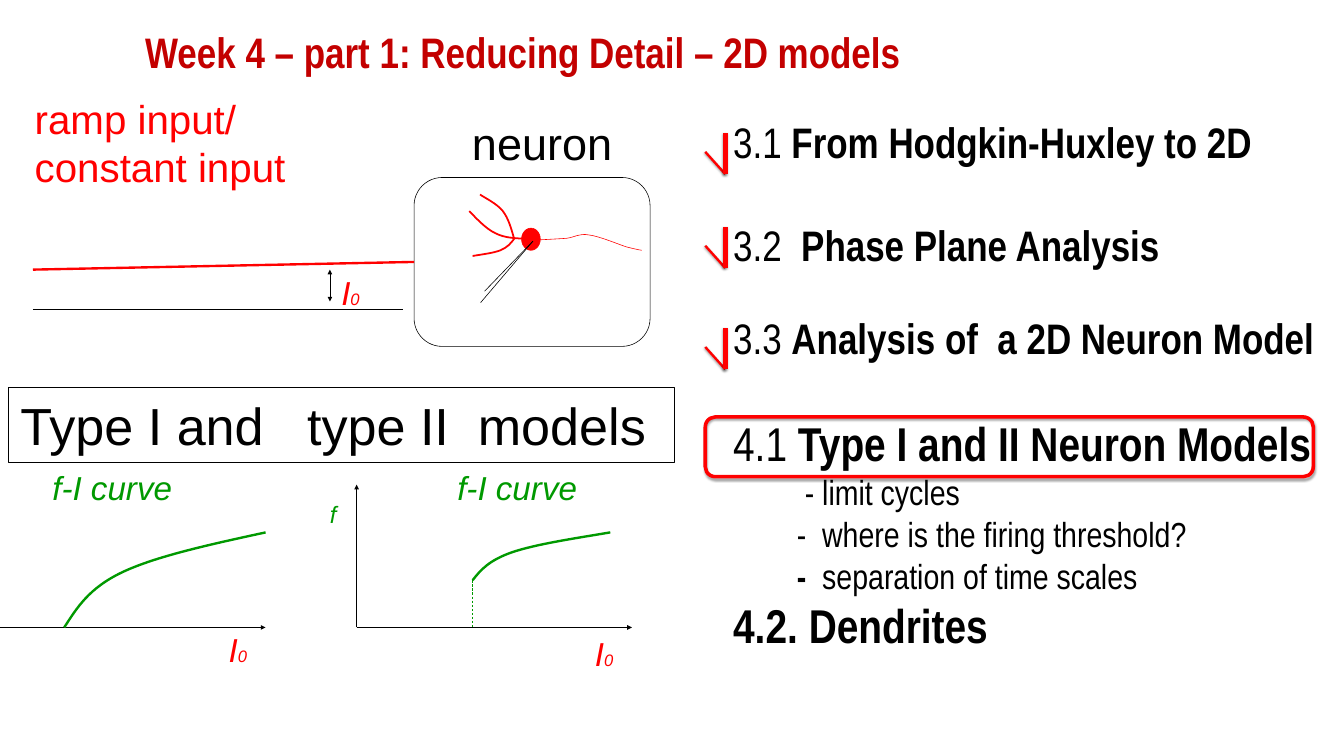
from lxml.etree import SubElement
from pptx import Presentation
from pptx.dml.color import RGBColor
from pptx.enum.dml import MSO_LINE
from pptx.enum.shapes import MSO_CONNECTOR as CONN, MSO_SHAPE as SHAPE
from pptx.enum.text import MSO_ANCHOR as ANCHOR, MSO_AUTO_SIZE as AUTO, PP_ALIGN as ALIGN
from pptx.oxml.ns import qn
from pptx.util import Emu, Pt

PX = 9144
BLACK = RGBColor(0, 0, 0)
WHITE = RGBColor(255, 255, 255)
RED = RGBColor(255, 0, 0)
DARK_RED = RGBColor(0xC3, 0, 0)
GREEN = RGBColor(0, 0x99, 0)
NARROW = "Arial Narrow"


def px(*values):
    return [Emu(v * PX) for v in values]


def write(p, text, size=42, color=BLACK, bold=False, italic=False, font="Arial"):
    r = p.add_run()
    r.text = text
    f = r.font
    f.name, f.size, f.bold, f.italic = font, Pt(size), bold, italic
    f.color.rgb = color


def set_insets(tf, x, y):
    tf.margin_left = tf.margin_right = Emu(x * PX)
    tf.margin_top = tf.margin_bottom = Emu(y * PX)


def add_label(shapes, box, *lines, fill=None, **fmt):
    sp = shapes.add_textbox(*px(*box))
    if fill is not None:
        sp.fill.solid()
        sp.fill.fore_color.rgb = fill
    tf = sp.text_frame
    tf.word_wrap = False
    set_insets(tf, 21, 11)
    for i, line in enumerate(lines):
        write(tf.add_paragraph() if i else tf.paragraphs[0], line, **fmt)
    return tf


def add_current(shapes, x, y):
    tf = add_label(shapes, (x, y, 75, 92), "I", color=RED, italic=True)
    write(tf.paragraphs[0], "0", size=21, color=RED, italic=True)


def set_shadow(sp, shadow):
    effects = SubElement(sp._element.spPr, qn("a:effectLst"))
    if shadow:
        alpha, blur, dist = shadow
        outer = SubElement(effects, qn("a:outerShdw"), blurRad=str(Pt(blur)),
                           dist=str(Pt(dist)), dir="5400000", rotWithShape="0")
        clr = SubElement(outer, qn("a:srgbClr"), val="000000")
        SubElement(clr, qn("a:alpha"), val=str(alpha * 1000))


def add_line(shapes, x1, y1, x2, y2, color=BLACK, width=0.75, dash=None, ends=(), shadow=None):
    c = shapes.add_connector(CONN.STRAIGHT, *px(x1, y1, x2, y2))
    c.line.color.rgb = color
    c.line.width = Pt(width)
    if dash:
        c.line.dash_style = dash
    for end in ends:
        SubElement(c.line._get_or_add_ln(), qn(f"a:{end}"), type="triangle")
    set_shadow(c, shadow)
    return c


def add_outline(shapes, kind, box, color=BLACK, width=0.75, fill=None, shadow=None):
    sp = shapes.add_shape(kind, *px(*box))
    if fill is None:
        sp.fill.background()
    else:
        sp.fill.solid()
        sp.fill.fore_color.rgb = fill
    sp.line.color.rgb = color
    sp.line.width = Pt(width)
    set_shadow(sp, shadow)
    return sp


def add_curve(shapes, x, y, points, color, width):
    start, *rest = [px(x + dx, y + dy) for dx, dy in points]
    builder = shapes.build_freeform(*start, scale=1.0)
    builder.add_line_segments(rest, close=False)
    sp = builder.convert_to_shape()
    outline = sp._element.find(".//" + qn("a:path"))
    steps = outline.findall(qn("a:lnTo"))
    for i in range(0, len(steps), 3):
        bezier = SubElement(outline, qn("a:cubicBezTo"))
        for step in steps[i:i + 3]:
            bezier.append(step[0])
            outline.remove(step)
    sp.fill.background()
    sp.line.color.rgb = color
    sp.line.width = Pt(width)
    sp.shadow.inherit = False


def fill_title(sp, box):
    sp.left, sp.top, sp.width, sp.height = px(*box)
    tf = sp.text_frame
    tf.auto_size, tf.vertical_anchor, tf.word_wrap = AUTO.NONE, ANCHOR.TOP, True
    set_insets(tf, 10, 5)
    tf.margin_left = Emu(44 * PX)
    p = tf.paragraphs[0]
    p.alignment = ALIGN.LEFT
    write(p, "Week 4 – part 1: Reducing Detail – 2D models", size=54,
          color=DARK_RED, bold=True, font=NARROW)


def fill_outline(sp, box):
    sp.left, sp.top, sp.width, sp.height = px(*box)
    tf = sp.text_frame
    tf.auto_size, tf.vertical_anchor, tf.word_wrap = AUTO.NONE, ANCHOR.MIDDLE, True
    set_insets(tf, 10, 5)
    rows = [
        (0, 118, -62, 54, "3.1 ", "From Hodgkin-Huxley to 2D"),
        (65, 118, -62, 54, "3.2 ", " Phase Plane Analysis"),
        (53, 118, -62, 54, "3.3 ", "Analysis of  a 2D Neuron Model"),
        (65, 118, -62, 60, "4.1 ", "Type I and II Neuron Models"),
        (0, 212, -30, 44, "- limit cycles", ""),
        (0, 212, -44, 44, "-  where is the firing threshold?", ""),
        (0, 212, -44, 44, "", "-  ", "separation of time scales"),
        (0, 118, -62, 60, "", "4.2. Dendrites"),
    ]
    for i, (before, margin, indent, size, *runs) in enumerate(rows):
        p = tf.add_paragraph() if i else tf.paragraphs[0]
        pPr = p._p.get_or_add_pPr()
        pPr.set("marL", str(margin * PX))
        pPr.set("indent", str(indent * PX))
        SubElement(pPr, qn("a:buNone"))
        p.alignment = ALIGN.LEFT
        p.space_before = Pt(before)
        for j, text in enumerate(runs):
            if text:
                write(p, text, size=size, bold=j == 1, font=NARROW)


def draw_check(slide, x, y):
    shapes = slide.shapes.add_group_shape().shapes
    shadow = (38, 3.1, 1.6)
    add_line(shapes, x, y + 33, x + 35, y + 72, RED, 3, shadow=shadow)
    add_line(shapes, x + 35, y, x + 35, y + 72, RED, 6, shadow=shadow)


def draw_neuron(slide, x, y, w, h):
    tf = add_label(slide.shapes, (x + 92, y - 114, 368, 106), "neuron", size=57)
    set_insets(tf, 10, 5)
    shapes = slide.shapes.add_group_shape().shapes
    add_outline(shapes, SHAPE.OVAL, (x + 189, y + 89, 33, 39), RED, fill=RED)
    axon = [(215, 110), (234, 109), (252, 108), (268, 107), (283, 105), (290, 98), (307, 101),
            (325, 103), (358, 117), (373, 122), (389, 126), (394, 127), (400, 128)]
    dendrites = [
        [(202, 108), (181, 107), (160, 107), (143, 98), (125, 90), (104, 66), (97, 59)],
        [(176, 108), (170, 116), (164, 123), (152, 128), (139, 133), (121, 135), (103, 138)],
        [(176, 108), (171, 90), (166, 72), (156, 59), (146, 46), (123, 35), (116, 30)],
    ]
    add_curve(shapes, x, y, axon, RED, 0.75)
    for dendrite in dendrites:
        add_curve(shapes, x, y, dendrite, RED, 2.25)
    for dx, dy in [(117, 220), (124, 200)]:
        add_line(shapes, x + dx, y + dy, x + 209, y + 112)
    return add_outline(shapes, SHAPE.ROUNDED_RECTANGLE, (x, y, w, h))


def draw_input(slide, x, y, cell):
    shapes = slide.shapes
    add_label(shapes, (x, y, 488, 193), "ramp input/", "constant input",
              size=51, color=RED, fill=WHITE)
    add_line(shapes, x + 18, y + 390, x + 669, y + 390)
    ramp = add_line(shapes, x + 18, y + 320, x + 688, y + 306, RED, 3)
    ramp.end_connect(cell, 1)
    add_current(shapes, x + 539, y + 313)
    add_line(shapes, x + 540, y + 320, x + 540, y + 376, ends=("headEnd", "tailEnd"))


def draw_models_heading(slide, box):
    sp = add_outline(slide.shapes, SHAPE.RECTANGLE, box)
    tf = sp.text_frame
    tf.word_wrap, tf.vertical_anchor = True, ANCHOR.TOP
    set_insets(tf, 21, 11)
    p = tf.paragraphs[0]
    p.alignment = ALIGN.LEFT
    tabs = SubElement(p._p.get_or_add_pPr(), qn("a:tabLst"))
    SubElement(tabs, qn("a:tab"), pos=str(504 * PX), algn="l")
    write(p, "Type I and\ttype II  models", size=66)


def draw_fi_plot(slide, x, y, curve, label_at, current_dy):
    shapes = slide.shapes
    add_line(shapes, max(x, 0), y, x + 484, y, ends=("tailEnd",))
    add_curve(shapes, x, y, curve, GREEN, 3)
    add_label(shapes, (x + label_at[0], y + label_at[1], 255, 92), "f-I curve",
              color=GREEN, italic=True)
    add_current(shapes, x + 398, y + current_dy)


def draw_frequency_jump(slide, x, y):
    shapes = slide.shapes
    add_line(shapes, x, y, x, y - 251, ends=("tailEnd",))
    add_label(shapes, (x - 68, y - 236, 54, 72), "f", size=30, color=GREEN, italic=True)
    add_line(shapes, x + 204, y - 83, x + 204, y, GREEN, dash=MSO_LINE.DASH)


def main():
    prs = Presentation()
    prs.slide_width, prs.slide_height = px(2363, 1329)
    slide = prs.slides.add_slide(prs.slide_layouts[1])
    fill_title(slide.shapes.title, (211, 40, 2116, 99))
    fill_outline(slide.placeholders[1], (1223, 142, 1140, 1068))
    for y in (234, 399, 577):
        draw_check(slide, 1240, y)
    add_outline(slide.shapes, SHAPE.ROUNDED_RECTANGLE, (1240, 733, 1069, 105),
                RED, 4.5, shadow=(35, 3.1, 1.8))
    draw_models_heading(slide, (15, 681, 1171, 132))
    type_one = [(130, 0), (152, -34), (173, -69), (232, -97),
                (291, -125), (387, -146), (484, -167)]
    type_two = [(204, -83), (218, -101), (233, -118), (273, -132),
                (314, -146), (380, -156), (446, -167)]
    draw_fi_plot(slide, -17, 1103, type_one, (88, -293), -7)
    draw_fi_plot(slide, 627, 1103, type_two, (156, -292), 0)
    draw_frequency_jump(slide, 627, 1103)
    cell = draw_neuron(slide, 728, 312, 415, 297)
    draw_input(slide, 40, 154, cell)
    prs.save("out.pptx")


if __name__ == "__main__":
    main()
